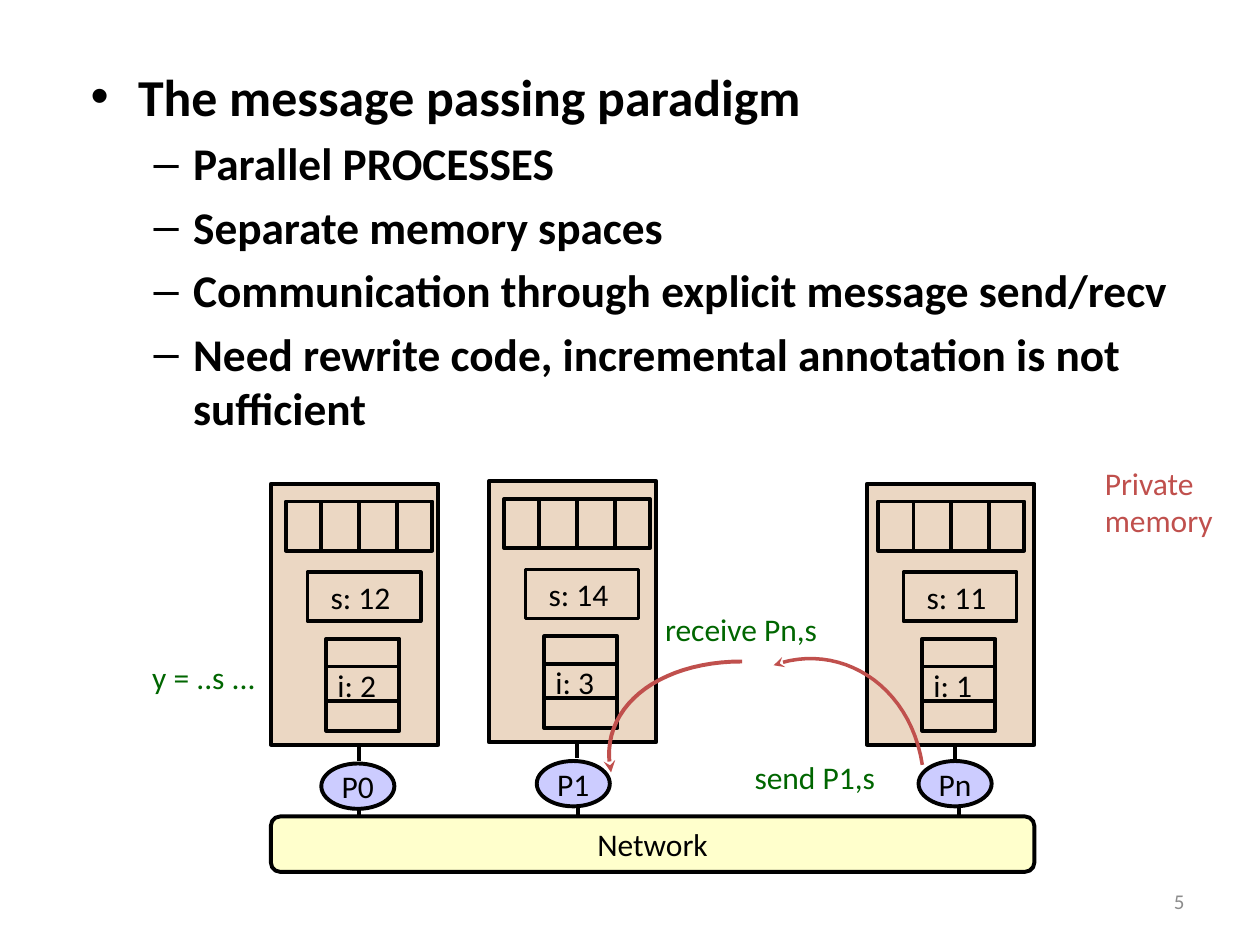
"""Build a slide on the message passing paradigm with processes, private memory and a network."""
from lxml.etree import SubElement
from pptx import Presentation
from pptx.dml.color import RGBColor
from pptx.enum.shapes import MSO_CONNECTOR, MSO_SHAPE
from pptx.enum.text import MSO_ANCHOR, MSO_AUTO_SIZE, PP_ALIGN
from pptx.oxml.ns import qn
from pptx.util import Inches, Pt

BLACK = RGBColor(0x00, 0x00, 0x00)
GRAY = RGBColor(0x8C, 0x8C, 0x8C)
GREEN = RGBColor(0x00, 0x66, 0x00)
RED = RGBColor(0xC0, 0x50, 0x4D)
TAN = RGBColor(0xEB, 0xD7, 0xC3)
LILAC = RGBColor(0xCC, 0xCC, 0xFF)
CREAM = RGBColor(0xFF, 0xFF, 0xCC)

deck = Presentation()
deck.slide_width, deck.slide_height = Inches(10), Inches(7.5)
COLUMN = deck.slide_width / 100
ROW = deck.slide_height / 75


def add_box(shapes, kind, left, top, width, height, text="", fill=None, color=BLACK, weight=2.25):
    """Add a preset shape, or a text box when kind is None, placed on the grid."""
    area = [round(n) for n in (left * COLUMN, top * ROW, width * COLUMN, height * ROW)]
    if kind is None:
        box = shapes.add_textbox(*area)
    else:
        box = shapes.add_shape(kind, *area)
        box.shadow.inherit = False
        box.line.color.rgb = BLACK
        box.line.width = Pt(weight)
        if fill is None:
            box.fill.background()
        else:
            box.fill.solid()
            box.fill.fore_color.rgb = fill
    if text:
        frame = box.text_frame
        frame.word_wrap = False
        para = frame.paragraphs[0]
        para.text = text
        para.font.size, para.font.name = Pt(18), "Calibri"
        para.font.color.rgb = color
        if kind is not None:
            frame.vertical_anchor = MSO_ANCHOR.MIDDLE
            para.alignment = PP_ALIGN.CENTER
    return box


def add_line(shapes, x1, y1, x2, y2):
    """Add a straight black line between two grid points."""
    ends = [round(n) for n in (x1 * COLUMN, y1 * ROW, x2 * COLUMN, y2 * ROW)]
    line = shapes.add_connector(MSO_CONNECTOR.STRAIGHT, *ends)
    line.line.color.rgb = BLACK
    line.line.width = Pt(2.25)
    SubElement(line._element.spPr, qn("a:effectLst"))


page = deck.slides.add_slide(deck.slide_layouts[1])
title = page.shapes.title
title._element.getparent().remove(title._element)

body = page.placeholders[1]
body.left, body.top = round(6.2 * COLUMN), round(4.6 * ROW)
body.width, body.height = round(90.7 * COLUMN), round(28.2 * ROW)
body.text_frame.text = "\n".join([
    "The message passing paradigm",
    "Parallel PROCESSES",
    "Separate memory spaces",
    "Communication through explicit message send/recv",
    "Need rewrite code, incremental annotation is not sufficient",
])
body.text_frame.auto_size = MSO_AUTO_SIZE.NONE
for index, para in enumerate(body.text_frame.paragraphs):
    para.level = min(index, 1)
    para.font.size = Pt(25.9 if index else 29.6)
    para.font.name, para.font.bold = "Calibri", True
    para.font.color.rgb = BLACK

number = add_box(page.shapes, None, 71.7, 69.5, 23.3, 4, "5", color=GRAY)
number.text_frame.word_wrap = True
number.text_frame.vertical_anchor = MSO_ANCHOR.MIDDLE
number.text_frame.paragraphs[0].alignment = PP_ALIGN.RIGHT
number.text_frame.paragraphs[0].font.size = Pt(12)

processes = [
    ("P0", "s: 12 ", "i: 2", 21.5, 38.4, 1.2, 25.5, 60.6, 28.5, 63.8),
    ("P1", "s: 14 ", "i: 3", 38.8, 38.2, 1.2, 42.6, 60.4, 45.85, 63.6),
    ("Pn", "s: 11 ", "i: 1", 68.8, 38.4, 0.9, 72.9, 60.4, 76.1, 63.1),
]
for name, scalar, counter, left, top, inset, node_left, node_top, link, link_top in processes:
    add_line(page.shapes, link, link_top, link, link_top + 2.1)
    add_box(page.shapes, MSO_SHAPE.OVAL, node_left, node_top, 5.8, 3.6, name, LILAC)

    memory = page.shapes.add_group_shape().shapes
    add_box(memory, MSO_SHAPE.RECTANGLE, left, top, 13.3, 20.7, fill=TAN)
    for cell in range(3):
        divider = left + inset + 2.8 + 3 * cell
        add_line(memory, divider, top + 1.4, divider, top + 5.4)
    add_box(memory, MSO_SHAPE.RECTANGLE, left + inset, top + 1.4, 11.6, 3.9)
    add_box(memory, MSO_SHAPE.RECTANGLE, left + 2.9, top + 7, 9, 3.9, scalar, weight=2)
    add_box(memory, None, left + 4.3, top + 13.95, 5.6, 4, counter)
    add_box(memory, MSO_SHAPE.RECTANGLE, left + 4.4, top + 12.3, 5.8, 7.3)
    for offset in (14.5, 17.2):
        add_line(memory, left + 4.4, top + offset, left + 10.3, top + offset)
    add_line(memory, left + 7, top + 20.7, left + 7, top + 22)

network = add_box(page.shapes, MSO_SHAPE.ROUNDED_RECTANGLE, 21.5, 64.8, 60.6, 4.4, "Network", CREAM)
network.adjustments[0] = 0.17

for text, left, top, width in [
    ("y = ..s ...", 11.1, 51.7, 11.8),
    ("send P1,s", 58.9, 59.7, 13.7),
    ("receive Pn,s", 51.8, 47.9, 16.6),
]:
    add_box(page.shapes, None, left, top, width, 4, text, color=GREEN)
private = add_box(page.shapes, None, 86.7, 36.3, 13.3, 7, "Private memory", color=RED)
private.text_frame.word_wrap = True

STEPS = 24
arcs = [
    (2, [(61.4, 52.8), (66.5, 50.9), (72.2, 54.2), (73.2, 60.7)]),
    (2.25, [(48.5, 61.3), (47.4, 56.3), (52.1, 52.5), (58.9, 52.5)]),
]
for weight, controls in arcs:
    points = []
    for step in range(STEPS + 1):
        t = step / STEPS
        shares = ((1 - t) ** 3, 3 * t * (1 - t) ** 2, 3 * t * t * (1 - t), t ** 3)
        x, y = (sum(s * c for s, c in zip(shares, axis)) for axis in zip(*controls))
        points.append((round(x * COLUMN), round(y * ROW)))
    builder = page.shapes.build_freeform(*points[0])
    builder.add_line_segments(points[1:], close=False)
    arc = builder.convert_to_shape()
    arc.shadow.inherit = False
    arc.fill.background()
    arc.line.color.rgb = RED
    arc.line.width = Pt(weight)
    SubElement(arc.line._get_or_add_ln(), qn("a:headEnd"), type="stealth")

deck.save("out.pptx")
